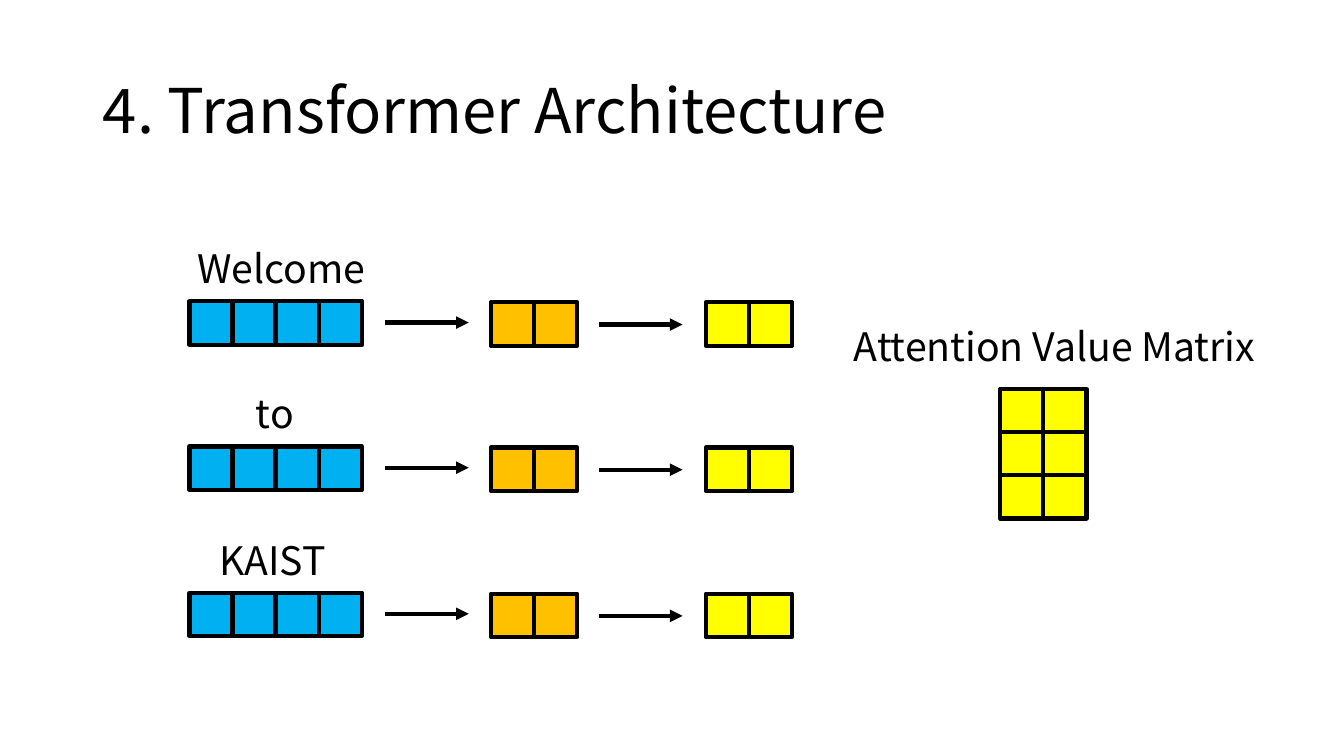
from dataclasses import dataclass

from lxml import etree
from pptx import Presentation
from pptx.dml.color import RGBColor
from pptx.enum.shapes import MSO_CONNECTOR, MSO_SHAPE
from pptx.enum.text import MSO_ANCHOR, MSO_AUTO_SIZE, PP_ALIGN
from pptx.oxml.ns import qn
from pptx.util import Inches, Pt

STRAIGHT = MSO_CONNECTOR.STRAIGHT
RECTANGLE = MSO_SHAPE.RECTANGLE
TOP, MIDDLE = MSO_ANCHOR.TOP, MSO_ANCHOR.MIDDLE
LEFT = PP_ALIGN.LEFT
NO_AUTOFIT = MSO_AUTO_SIZE.NONE
TITLE_ONLY = 5


@dataclass(frozen=True)
class Theme:
    font: str = "Noto Sans CJK KR"
    title_size: int = 44
    label_size: int = 28
    line_width: int = 3
    ink: RGBColor = RGBColor(0x00, 0x00, 0x00)
    embedding: RGBColor = RGBColor(0x00, 0xB0, 0xF0)
    value: RGBColor = RGBColor(0xFF, 0xC0, 0x00)
    attention: RGBColor = RGBColor(0xFF, 0xFF, 0x00)


THEME = Theme()
CELL = 0.43
PITCH = 0.427

# Word, label left, label width, top of the embedding cells
WORDS = [
    ("Welcome", 1.86, 2.13, 2.99),
    ("to", 2.44, 1.3, 4.43),
    ("KAIST", 2.08, 1.3, 5.88),
]


def write(shape, text, size, anchor):
    frame = shape.text_frame
    frame.word_wrap = True
    frame.auto_size = NO_AUTOFIT
    frame.vertical_anchor = anchor
    paragraph = frame.paragraphs[0]
    paragraph.alignment = LEFT
    paragraph.line_spacing = 0.9
    paragraph.space_before = Pt(0)
    run = paragraph.add_run()
    run.text = text
    run.font.name = THEME.font
    run.font.size = Pt(size)
    run.font.color.rgb = THEME.ink


def add_title(slide, text):
    title = slide.shapes.title
    title.left, title.top = Inches(0.92), Inches(0.4)
    title.width, title.height = Inches(12.42), Inches(1.45)
    write(title, text, THEME.title_size, MIDDLE)


def add_label(slide, text, left, top, width, height):
    box = slide.shapes.add_textbox(
        Inches(left), Inches(top), Inches(width), Inches(height))
    write(box, text, THEME.label_size, TOP)


def add_cells(slide, left, top, rows, columns, fill):
    group = slide.shapes.add_group_shape()
    for row in range(rows):
        for column in range(columns):
            cell = group.shapes.add_shape(
                RECTANGLE,
                Inches(left + column * PITCH), Inches(top + row * PITCH),
                Inches(CELL), Inches(CELL))
            cell.shadow.inherit = False
            cell.fill.solid()
            cell.fill.fore_color.rgb = fill
            cell.line.color.rgb = THEME.ink
            cell.line.width = Pt(THEME.line_width)


def add_arrow(slide, left, middle, length=0.83):
    arrow = slide.shapes.add_connector(
        STRAIGHT, Inches(left), Inches(middle),
        Inches(left + length), Inches(middle))
    arrow.line.color.rgb = THEME.ink
    arrow.line.width = Pt(THEME.line_width)
    properties = arrow.element.spPr
    outline = properties.find(qn("a:ln"))
    etree.SubElement(outline, qn("a:tailEnd"), type="triangle")
    etree.SubElement(properties, qn("a:effectLst"))


def add_word_row(slide, word, label_left, label_width, top):
    # Embedding, then value vector, then attention value
    add_label(slide, word, label_left, top - 0.56, label_width, 0.57)
    add_cells(slide, 1.88, top, 1, 4, THEME.embedding)
    add_arrow(slide, 3.82, top + 0.21)
    vector_top = top + 0.01
    add_cells(slide, 4.87, vector_top, 1, 2, THEME.value)
    add_arrow(slide, 5.94, vector_top + 0.22)
    add_cells(slide, 7, vector_top, 1, 2, THEME.attention)


def main():
    presentation = Presentation()
    presentation.slide_width = Inches(13.33)
    presentation.slide_height = Inches(7.5)
    slide = presentation.slides.add_slide(
        presentation.slide_layouts[TITLE_ONLY])

    add_title(slide, "4. Transformer Architecture")

    # One row per word
    for word_row in WORDS:
        add_word_row(slide, *word_row)

    # Stacked result
    add_cells(slide, 9.92, 3.86, 3, 2, THEME.attention)
    add_label(slide, "Attention Value Matrix", 8.37, 3.2, 5.15, 1.01)

    presentation.save("out.pptx")


if __name__ == "__main__":
    main()
